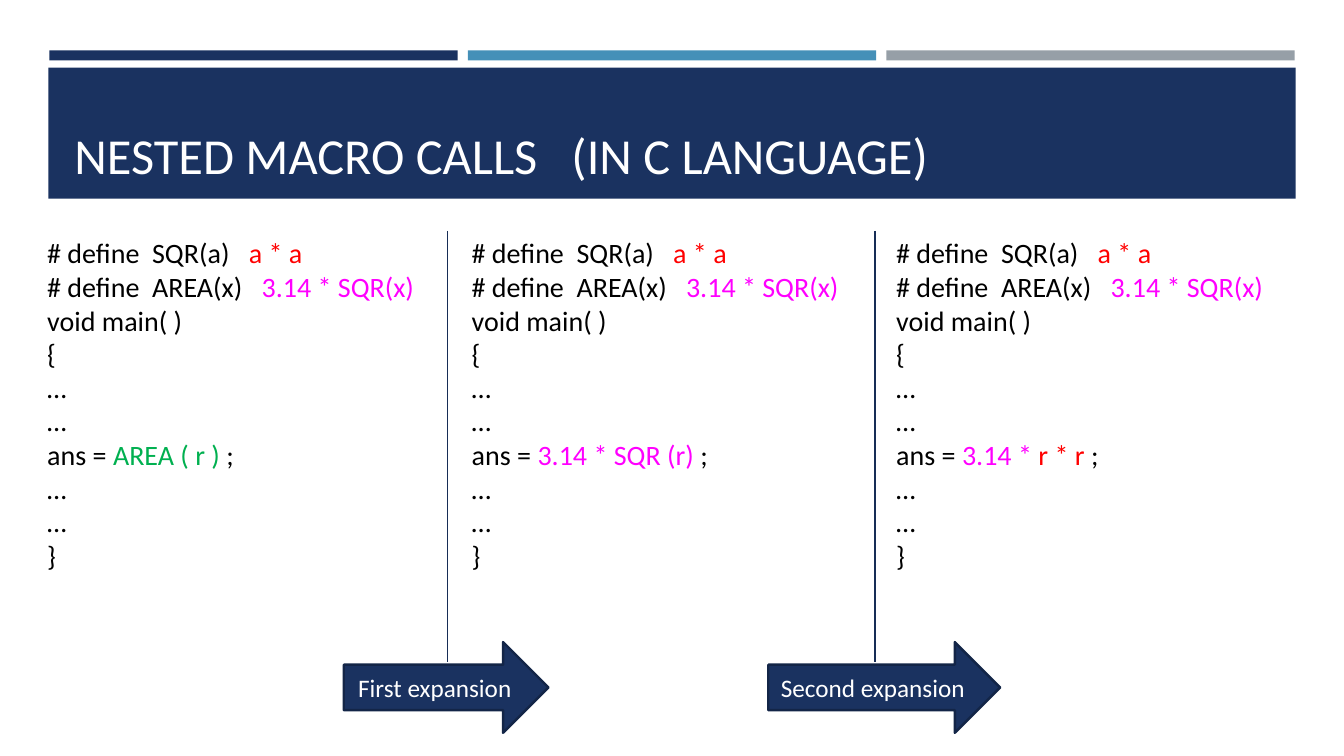
from dataclasses import dataclass

from lxml.etree import SubElement
from pptx import Presentation
from pptx.dml.color import RGBColor
from pptx.enum.shapes import MSO_CONNECTOR, MSO_SHAPE
from pptx.enum.text import MSO_ANCHOR, PP_ALIGN
from pptx.oxml.ns import qn
from pptx.util import Inches, Pt


@dataclass(frozen=True)
class Theme:
    font: str = "Calibri"
    navy: str = "1A3260"
    blue: str = "4590B8"
    gray: str = "969FA7"
    divider: str = "172D56"
    outline: str = "132547"
    white: str = "FFFFFF"
    black: str = "000000"
    red: str = "FF0000"
    magenta: str = "FF00FF"
    green: str = "00B050"
    title_size: int = 36
    code_size: int = 20
    label_size: int = 18


def add_text(paragraph, text, *, font, size, color):
    """Append one formatted run to a paragraph."""
    run = paragraph.add_run()
    run.text = text
    run.font.name = font
    run.font.size = Pt(size)
    run.font.color.rgb = RGBColor.from_string(color)


class SlideBuilder:
    def __init__(self, slide, theme):
        self.shapes = slide.shapes
        self.theme = theme

    def block(self, kind, left, top, width, height, fill, outline=None):
        shape = self.shapes.add_shape(
            kind, Inches(left), Inches(top), Inches(width), Inches(height))
        shape.shadow.inherit = False
        shape.fill.solid()
        shape.fill.fore_color.rgb = RGBColor.from_string(fill)
        if outline:
            shape.line.color.rgb = RGBColor.from_string(outline)
            shape.line.width = Pt(1.75)
        else:
            shape.line.fill.background()
        return shape

    def text_frame(self, left, top, width, height, anchor=MSO_ANCHOR.TOP):
        frame = self.shapes.add_textbox(
            Inches(left), Inches(top), Inches(width), Inches(height)).text_frame
        frame.word_wrap = True
        frame.vertical_anchor = anchor
        return frame

    def title(self, text, left, top, width, height, tab):
        paragraph = self.text_frame(
            left, top, width, height, MSO_ANCHOR.BOTTOM).paragraphs[0]
        tabs = SubElement(paragraph._p.get_or_add_pPr(), qn("a:tabLst"))
        SubElement(tabs, qn("a:tab"), pos=str(Inches(tab)), algn="l")
        add_text(paragraph, text, font=self.theme.font,
                 size=self.theme.title_size, color=self.theme.white)

    def code(self, lines, left, top, width, height):
        frame = self.text_frame(left, top, width, height)
        for index, line in enumerate(lines):
            paragraph = frame.add_paragraph() if index else frame.paragraphs[0]
            for text, color in line:
                add_text(paragraph, text, font=self.theme.font,
                         size=self.theme.code_size, color=color)

    def divider(self, x, top, bottom):
        line = self.shapes.add_connector(
            MSO_CONNECTOR.STRAIGHT, Inches(x), Inches(top), Inches(x), Inches(bottom))
        line.line.color.rgb = RGBColor.from_string(self.theme.divider)
        line.line.width = Pt(1)
        SubElement(line._element.spPr, qn("a:effectLst"))

    def arrow(self, label, left, top, width, height):
        shape = self.block(MSO_SHAPE.RIGHT_ARROW, left, top, width, height,
                           self.theme.navy, self.theme.outline)
        frame = shape.text_frame
        frame.word_wrap = False
        frame.vertical_anchor = MSO_ANCHOR.MIDDLE
        paragraph = frame.paragraphs[0]
        paragraph.alignment = PP_ALIGN.CENTER
        add_text(paragraph, label, font=self.theme.font,
                 size=self.theme.label_size, color=self.theme.white)


def program(theme, answer):
    """Lines of the C program, with the answer expression filled in."""
    def plain(text):
        return [(text, theme.black)]

    ellipses = [plain("…")] * 2
    return [
        plain("# define  SQR(a)   ") + [("a * a", theme.red)],
        plain("# define  AREA(x)   ") + [("3.14 * SQR(x)", theme.magenta)],
        plain("void main( )"),
        plain("{"),
        *ellipses,
        plain("ans = ") + answer + plain(";"),
        *ellipses,
        plain("}"),
    ]


def main():
    theme = Theme()
    deck = Presentation()
    deck.slide_width, deck.slide_height = Inches(13.33), Inches(7.5)
    builder = SlideBuilder(deck.slides.add_slide(deck.slide_layouts[6]), theme)

    # Header: three strips above the title band
    for index, color in enumerate((theme.navy, theme.blue, theme.gray)):
        builder.block(MSO_SHAPE.RECTANGLE, 0.49 + 4.15 * index, 0.5, 4.05, 0.1, color)
    builder.block(MSO_SHAPE.RECTANGLE, 0.48, 0.67, 12.37, 1.3, theme.navy)
    builder.title("NESTED MACRO CALLS\t(IN C LANGUAGE)",
                  0.64, 0.77, 12.06, 1.11, tab=4.93)

    # Three stages of the program
    answers = [
        [("AREA ( r ) ", theme.green)],
        [("3.14 * SQR (r) ", theme.magenta)],
        [("3.14 * ", theme.magenta), ("r * r ", theme.red)],
    ]
    stage_top = 2.29
    for index, answer in enumerate(answers):
        builder.code(program(theme, answer), 0.37 + 4.21 * index, stage_top, 4.18, 3.47)

    # Expansion steps between the stages
    steps = [("First expansion", 4.44, 3.41, 2.03),
             ("Second expansion", 8.68, 7.62, 2.3)]
    for label, divider_x, arrow_left, arrow_width in steps:
        builder.divider(divider_x, stage_top, 6.57)
        builder.arrow(label, arrow_left, 6.37, arrow_width, 0.9)

    deck.save("out.pptx")


if __name__ == "__main__":
    main()
